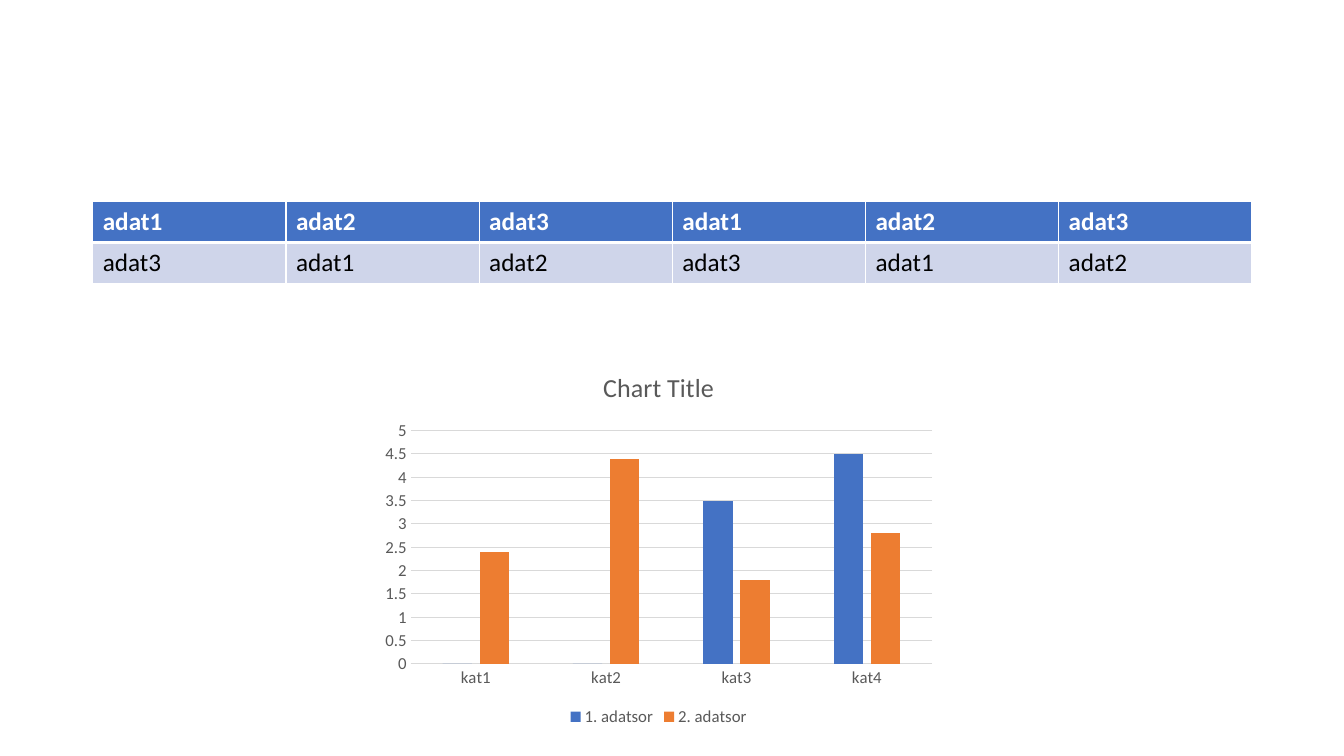
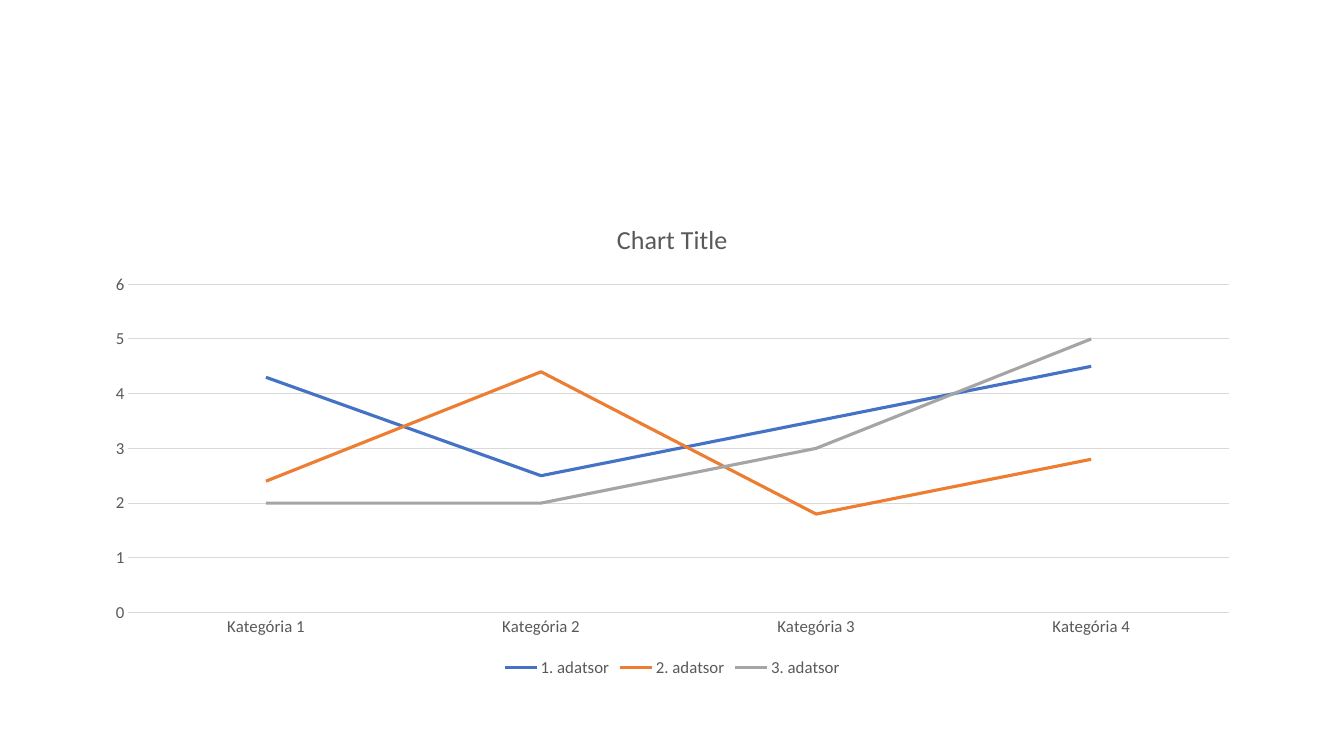
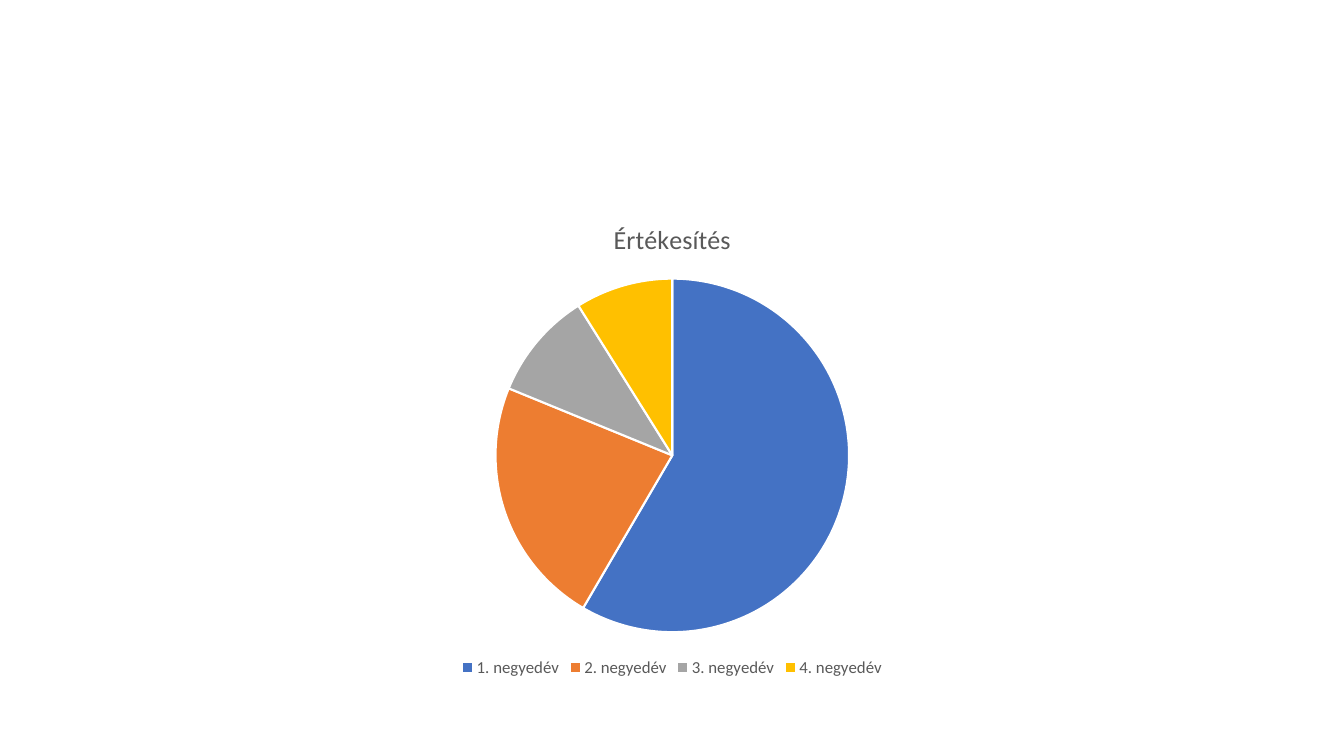
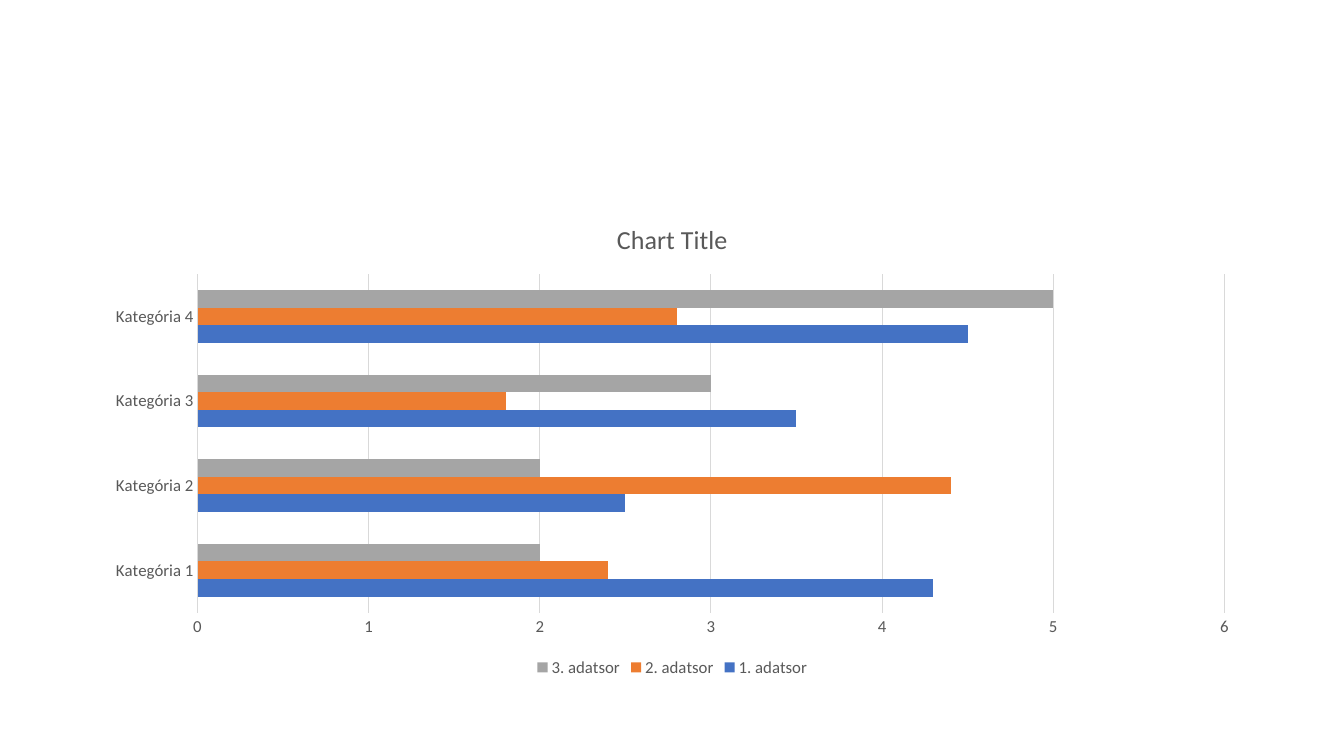
import dataclasses

import lxml.etree
import pptx
import pptx.chart.data
import pptx.dml.color
import pptx.enum.chart
import pptx.enum.text
import pptx.oxml.ns
import pptx.util

Pt = pptx.util.Pt
ChartType = pptx.enum.chart.XL_CHART_TYPE


@dataclasses.dataclass(frozen=True)
class Theme:
    """Colours, type and line sizes shared by all slides."""

    font: str = "Calibri"
    white: str = "FFFFFF"
    black: str = "000000"
    grey_text: str = "595959"
    grid: str = "D9D9D9"
    header_fill: str = "4472C4"
    row_fill: str = "CFD5EA"
    accents: tuple = ("4472C4", "ED7D31", "A5A5A5", "FFC000")
    title_size: float = 18.6
    table_size: float = 18
    label_size: float = 12
    grid_width: float = 0.75
    series_width: float = 2.25
    slice_width: float = 1.5
    border_width: float = 1
    header_border_width: float = 3


THEME = Theme()
CONTENT_LEFT, CONTENT_TOP, CONTENT_WIDTH = Pt(66.24), Pt(144), Pt(828)
CONTENT_BOX = (CONTENT_LEFT, CONTENT_TOP, CONTENT_WIDTH, Pt(342.72))
SMALL_CHART_BOX = (Pt(267.12), Pt(251.28), Pt(406.8), Pt(270.72))
ROW_HEIGHT = Pt(29.2)

CATEGORIES = [f"Kategória {number}" for number in range(1, 5)]
SERIES = {
    "1. adatsor": (4.3, 2.5, 3.5, 4.5),
    "2. adatsor": (2.4, 4.4, 1.8, 2.8),
    "3. adatsor": (2, 2, 3, 5),
}


def colour(value):
    """Return the colour for a hexadecimal value."""
    return pptx.dml.color.RGBColor.from_string(value)


def style_font(font, size, value, bold=False):
    """Apply the theme typeface with a size, colour and weight."""
    font.name = THEME.font
    font.size = Pt(size)
    font.bold = bold
    font.color.rgb = colour(value)


def style_fill(fill, value):
    """Make a fill solid in one colour."""
    fill.solid()
    fill.fore_color.rgb = colour(value)


def style_line(line, value, width):
    """Give a line a colour and a width."""
    style_fill(line.fill, value)
    line.width = Pt(width)


def add_slide(presentation):
    """Add a slide without placeholders."""
    return presentation.slides.add_slide(presentation.slide_layouts[6])


def set_borders(cell, **widths):
    """Draw white cell borders; keys are the sides L, R, T and B."""
    properties = cell._tc.get_or_add_tcPr()
    qualified = pptx.oxml.ns.qn
    for position, side in enumerate("LRTB"):
        line = lxml.etree.Element(qualified(f"a:ln{side}"), w=str(Pt(widths[side])))
        fill = lxml.etree.SubElement(line, qualified("a:solidFill"))
        lxml.etree.SubElement(fill, qualified("a:srgbClr"), val=THEME.white)
        properties.insert(position, line)


def add_table(slide, rows):
    """Add a table with a header row across the content width."""
    table = slide.shapes.add_table(
        len(rows), len(rows[0]), CONTENT_LEFT, CONTENT_TOP,
        CONTENT_WIDTH, ROW_HEIGHT * len(rows)).table
    thin, thick = THEME.border_width, THEME.header_border_width
    for row_index, texts in enumerate(rows):
        header = row_index == 0
        table.rows[row_index].height = ROW_HEIGHT
        for column_index, text in enumerate(texts):
            cell = table.cell(row_index, column_index)
            cell.text_frame.text = text
            style_font(cell.text_frame.paragraphs[0].runs[0].font, THEME.table_size,
                       THEME.white if header else THEME.black, header)
            style_fill(cell.fill, THEME.header_fill if header else THEME.row_fill)
            set_borders(cell, L=thin, R=thin,
                        T=thick if row_index == 1 else thin,
                        B=thick if header else thin)


def add_chart(slide, chart_type, box, categories, series, title="Chart Title"):
    """Add a chart with the shared title and legend style."""
    data = pptx.chart.data.CategoryChartData()
    data.categories = categories
    for name, values in series.items():
        data.add_series(name, values)
    chart = slide.shapes.add_chart(chart_type, *box, data).chart
    style_font(chart.font, THEME.label_size, THEME.grey_text)
    chart.has_title = True
    chart.chart_title.include_in_layout = False
    text_frame = chart.chart_title.text_frame
    text_frame.text = title
    style_font(text_frame.paragraphs[0].runs[0].font, THEME.title_size, THEME.grey_text)
    chart.has_legend = True
    chart.legend.position = pptx.enum.chart.XL_LEGEND_POSITION.BOTTOM
    chart.legend.include_in_layout = False
    style_font(chart.legend.font, THEME.label_size, THEME.grey_text)
    return chart


def style_axes(chart, maximum, step):
    """Format both axes and set the value scale."""
    category_axis, value_axis = chart.category_axis, chart.value_axis
    for axis in (category_axis, value_axis):
        axis.major_tick_mark = pptx.enum.chart.XL_TICK_MARK.NONE
        axis.minor_tick_mark = pptx.enum.chart.XL_TICK_MARK.NONE
        style_font(axis.tick_labels.font, THEME.label_size, THEME.grey_text)
    style_line(category_axis.format.line, THEME.grid, THEME.grid_width)
    category_axis.has_major_gridlines = False
    value_axis.format.line.fill.background()
    value_axis.has_major_gridlines = True
    style_line(value_axis.major_gridlines.format.line, THEME.grid, THEME.grid_width)
    value_axis.minimum_scale = 0
    value_axis.maximum_scale = maximum
    value_axis.major_unit = step


def style_bars(chart, gap, overlap):
    """Set the spacing and the series colours of bars or columns."""
    plot = chart.plots[0]
    plot.vary_by_categories = False
    plot.gap_width = gap
    plot.overlap = overlap
    for series, accent in zip(plot.series, THEME.accents):
        style_fill(series.format.fill, accent)
        series.invert_if_negative = False


def style_lines(chart):
    """Draw each series as a straight coloured line."""
    plot = chart.plots[0]
    plot.vary_by_categories = False
    for series, accent in zip(plot.series, THEME.accents):
        style_line(series.format.line, accent, THEME.series_width)
        series.marker.style = pptx.enum.chart.XL_MARKER_STYLE.NONE
        series.smooth = False


def style_slices(chart):
    """Colour the pie slices and part them with white lines."""
    plot = chart.plots[0]
    plot.vary_by_categories = True
    for index, accent in enumerate(THEME.accents):
        point = plot.series[0].points[index]
        style_fill(point.format.fill, accent)
        style_line(point.format.line, THEME.white, THEME.slice_width)


def build_table_slide(presentation):
    """Build the slide with the table and the column chart."""
    slide = add_slide(presentation)
    add_table(slide, [["adat1", "adat2", "adat3"] * 2, ["adat3", "adat1", "adat2"] * 2])
    chart = add_chart(
        slide, ChartType.COLUMN_CLUSTERED, SMALL_CHART_BOX,
        [f"kat{number}" for number in range(1, 5)],
        {"1. adatsor": (0, 0, 3.5, 4.5), "2. adatsor": SERIES["2. adatsor"]})
    style_axes(chart, maximum=5, step=0.5)
    style_bars(chart, gap=219, overlap=-27)


def build_line_slide(presentation):
    """Build the slide with the line chart."""
    chart = add_chart(add_slide(presentation), ChartType.LINE, CONTENT_BOX,
                      CATEGORIES, SERIES)
    style_axes(chart, maximum=6, step=1)
    style_lines(chart)


def build_pie_slide(presentation):
    """Build the slide with the sales pie."""
    title = "Értékesítés"
    quarters = [f"{number}. negyedév" for number in range(1, 5)]
    chart = add_chart(add_slide(presentation), ChartType.PIE, CONTENT_BOX,
                      quarters, {title: (59, 23, 10, 9)}, title)
    style_slices(chart)


def build_bar_slide(presentation):
    """Build the slide with the horizontal bars."""
    chart = add_chart(add_slide(presentation), ChartType.BAR_CLUSTERED, CONTENT_BOX,
                      CATEGORIES, SERIES)
    style_axes(chart, maximum=6, step=1)
    style_bars(chart, gap=182, overlap=0)


def main():
    """Build and save the presentation."""
    presentation = pptx.Presentation()
    presentation.slide_width = Pt(960)
    presentation.slide_height = Pt(540)
    build_table_slide(presentation)
    build_line_slide(presentation)
    build_pie_slide(presentation)
    build_bar_slide(presentation)
    presentation.save("out.pptx")


main()
